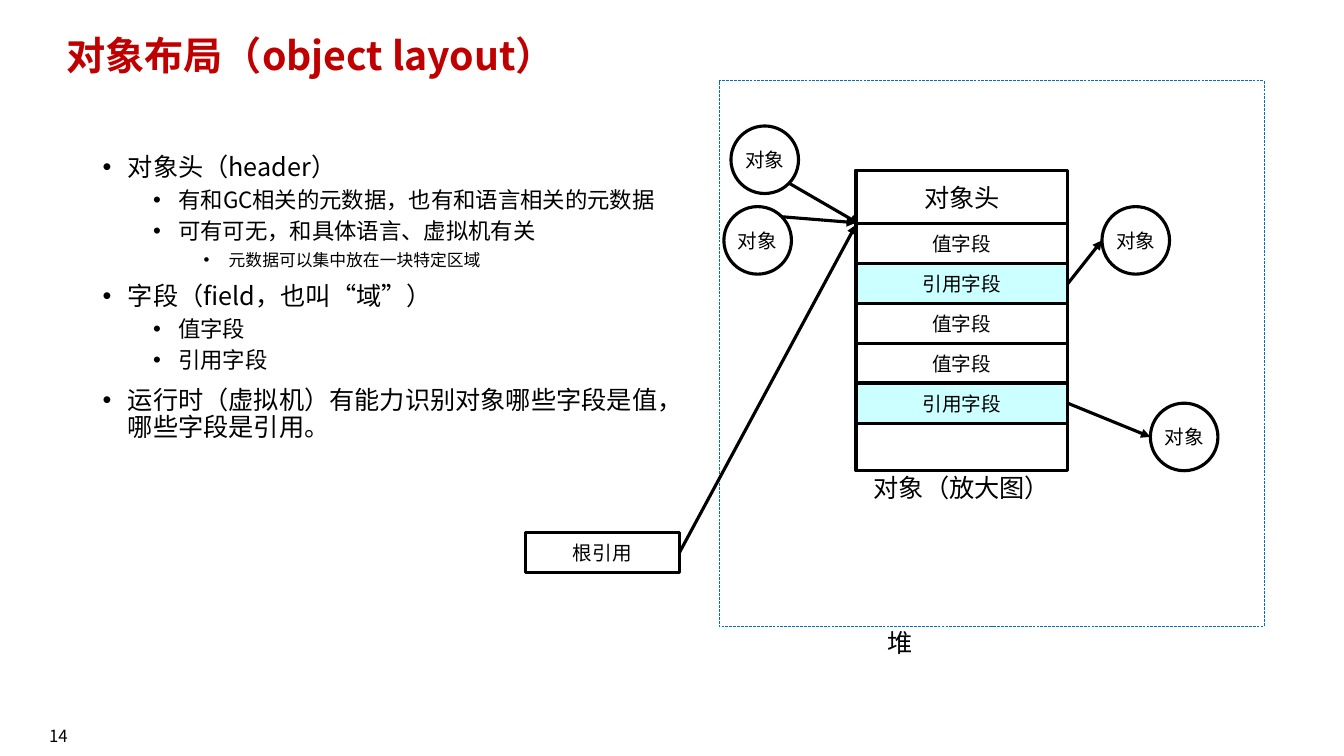
from lxml import etree
from pptx import Presentation
from pptx.dml.color import RGBColor
from pptx.enum.dml import MSO_LINE
from pptx.enum.shapes import MSO_CONNECTOR, MSO_SHAPE
from pptx.enum.text import MSO_ANCHOR, PP_ALIGN
from pptx.oxml.ns import qn
from pptx.util import Inches, Pt

BLACK = RGBColor(0x00, 0x00, 0x00)
WHITE = RGBColor(0xFF, 0xFF, 0xFF)
RED = RGBColor(0xC0, 0x00, 0x00)
BLUE = RGBColor(0x00, 0x70, 0xC0)
CYAN = RGBColor(0xCC, 0xFF, 0xFF)
FONT = "Noto Sans CJK SC"
RECTANGLE, OVAL = MSO_SHAPE.RECTANGLE, MSO_SHAPE.OVAL
STRAIGHT = MSO_CONNECTOR.STRAIGHT
DASH = MSO_LINE.LONG_DASH
TOP, MIDDLE = MSO_ANCHOR.TOP, MSO_ANCHOR.MIDDLE
LEFT, CENTER = PP_ALIGN.LEFT, PP_ALIGN.CENTER
RIGHT_SIDE = 3

BULLETS = [
    (0, "对象头（header）"),
    (1, "有和GC相关的元数据，也有和语言相关的元数据"),
    (1, "可有可无，和具体语言、虚拟机有关"),
    (2, "元数据可以集中放在一块特定区域"),
    (0, "字段（field，也叫“域”）"),
    (1, "值字段"),
    (1, "引用字段"),
    (0, "运行时（虚拟机）有能力识别对象哪些字段是值，哪些字段是引用。"),
]
BULLET_SIZES = [18, 16, 12]
FIELDS = ["值字段", "引用字段", "值字段", "值字段", "引用字段"]
CIRCLE = 0.67


def add_span(para, text, size, color=BLACK, bold=False):
    span = para.add_run()
    span.text = text
    span.font.name = FONT
    span.font.size = Pt(size)
    span.font.bold = bold
    span.font.color.rgb = color
    east_asian = etree.SubElement(span.font._element, qn("a:ea"))
    east_asian.set("typeface", FONT)


def set_margins(frame, horizontal, vertical):
    frame.margin_left = frame.margin_right = Inches(horizontal)
    frame.margin_top = frame.margin_bottom = Inches(vertical)


def add_text_box(page, box, margins=(0.1, 0.05), anchor=TOP):
    frame = page.shapes.add_textbox(*map(Inches, box)).text_frame
    frame.word_wrap = True
    frame.vertical_anchor = anchor
    set_margins(frame, *margins)
    return frame


def add_label(page, box, text, size, color=BLACK, bold=False,
              align=CENTER, margins=(0, 0), anchor=TOP):
    para = add_text_box(page, box, margins, anchor).paragraphs[0]
    para.alignment = align
    para.line_spacing = 0.9 if bold else 1.0
    add_span(para, text, size, color, bold)


def add_block(page, kind, box, text="", size=14, fill=WHITE):
    block = page.shapes.add_shape(kind, *map(Inches, box))
    block.shadow.inherit = False
    block.fill.solid()
    block.fill.fore_color.rgb = fill
    block.line.color.rgb = BLACK
    block.line.width = Pt(2.25)
    if text:
        frame = block.text_frame
        frame.word_wrap = True
        frame.vertical_anchor = MIDDLE
        set_margins(frame, *((0, 0) if kind == OVAL else (0.1, 0.05)))
        frame.paragraphs[0].alignment = CENTER
        add_span(frame.paragraphs[0], text, size)
    return block


def add_arrow(page, start, end, source=None):
    arrow = page.shapes.add_connector(STRAIGHT, *map(Inches, start + end))
    if source is not None:
        arrow.begin_connect(source, RIGHT_SIDE)
    arrow.line.color.rgb = BLACK
    arrow.line.width = Pt(2.25)
    etree.SubElement(arrow.line._get_or_add_ln(), qn("a:tailEnd"), type="triangle")
    etree.SubElement(arrow._element.spPr, qn("a:effectLst"))


def add_bullets(page, box):
    frame = add_text_box(page, box)
    for index, (level, text) in enumerate(BULLETS):
        para = frame.add_paragraph() if index else frame.paragraphs[0]
        para.level = level
        para.line_spacing = 0.9
        para.space_before = Pt(0 if index == 0 else 5 if level else 10)
        properties = para._p.get_or_add_pPr()
        properties.set("marL", str(Inches(0.25 + 0.5 * level)))
        properties.set("indent", str(Inches(-0.25)))
        etree.SubElement(properties, qn("a:buFont"), typeface="Arial")
        etree.SubElement(properties, qn("a:buChar"), char="•")
        add_span(para, text, BULLET_SIZES[level])


def add_heap(page, box):
    heap = page.shapes.add_shape(RECTANGLE, *map(Inches, box))
    heap.shadow.inherit = False
    heap.fill.background()
    heap.line.color.rgb = BLUE
    heap.line.width = Pt(0.25)
    heap.line.dash_style = DASH
    left, top, width, height = box
    add_label(page, (left - 1.82, top + height + 0.01, width + 1.82, 0.3), "堆", 18)


def add_object(page, box):
    left, top, width, height = box
    header_height, pitch = 0.53, 0.395
    add_block(page, RECTANGLE, box)
    add_block(page, RECTANGLE, (left, top, width, header_height), "对象头", 18)
    references = []
    for index, field in enumerate(FIELDS):
        is_reference = field == "引用字段"
        row = (left, top + header_height + index * pitch, width, 0.4)
        block = add_block(page, RECTANGLE, row, field, fill=CYAN if is_reference else WHITE)
        if is_reference:
            references.append(block)
    add_label(page, (left, top + height + 0.02, width, 0.3), "对象（放大图）", 18)
    return references


def add_links(page, box, references):
    left, top, width, _ = box
    right = left + width
    root = add_block(page, RECTANGLE, (left - 3.28, top + 3.59, 1.53, 0.4), "根引用")
    add_arrow(page, (left - 1.75, top + 3.79), (left, top + 0.54), root)

    sources = [
        (-1.24, -0.44, (-0.66, 0.13), (0.03, 0.53)),
        (-1.31, 0.36, (-0.74, 0.46), (0, 0.52)),
    ]
    for x, y, start, end in sources:
        add_block(page, OVAL, (left + x, top + y, CIRCLE, CIRCLE), "对象")
        add_arrow(page, (left + start[0], top + start[1]), (left + end[0], top + end[1]))

    targets = [(0.34, 0.36), (0.82, 2.31)]
    for reference, (x, y) in zip(references, targets):
        add_block(page, OVAL, (right + x, top + y, CIRCLE, CIRCLE), "对象")
        end = (right + x, top + y + CIRCLE / 2)
        add_arrow(page, (right, end[1]), end, reference)


def build_layout_page(deck):
    page = deck.slides.add_slide(deck.slide_layouts[6])
    add_label(page, (0, 7.1, 1.16, 0.4), "14", 12, margins=(0.1, 0.05), anchor=MIDDLE)
    add_label(page, (0.56, 0.31, 11.5, 0.65), "对象布局（object layout）", 28,
              RED, True, LEFT, (0.1, 0.05))
    add_bullets(page, (0.92, 1.49, 5.75, 4.76))
    add_heap(page, (7.13, 0.8, 5.41, 5.41))
    object_box = (8.49, 1.69, 2.1, 2.98)
    references = add_object(page, object_box)
    add_links(page, object_box, references)


def main():
    deck = Presentation()
    deck.slide_width = Inches(13.33)
    deck.slide_height = Inches(7.5)
    build_layout_page(deck)
    deck.save("out.pptx")


if __name__ == "__main__":
    main()
